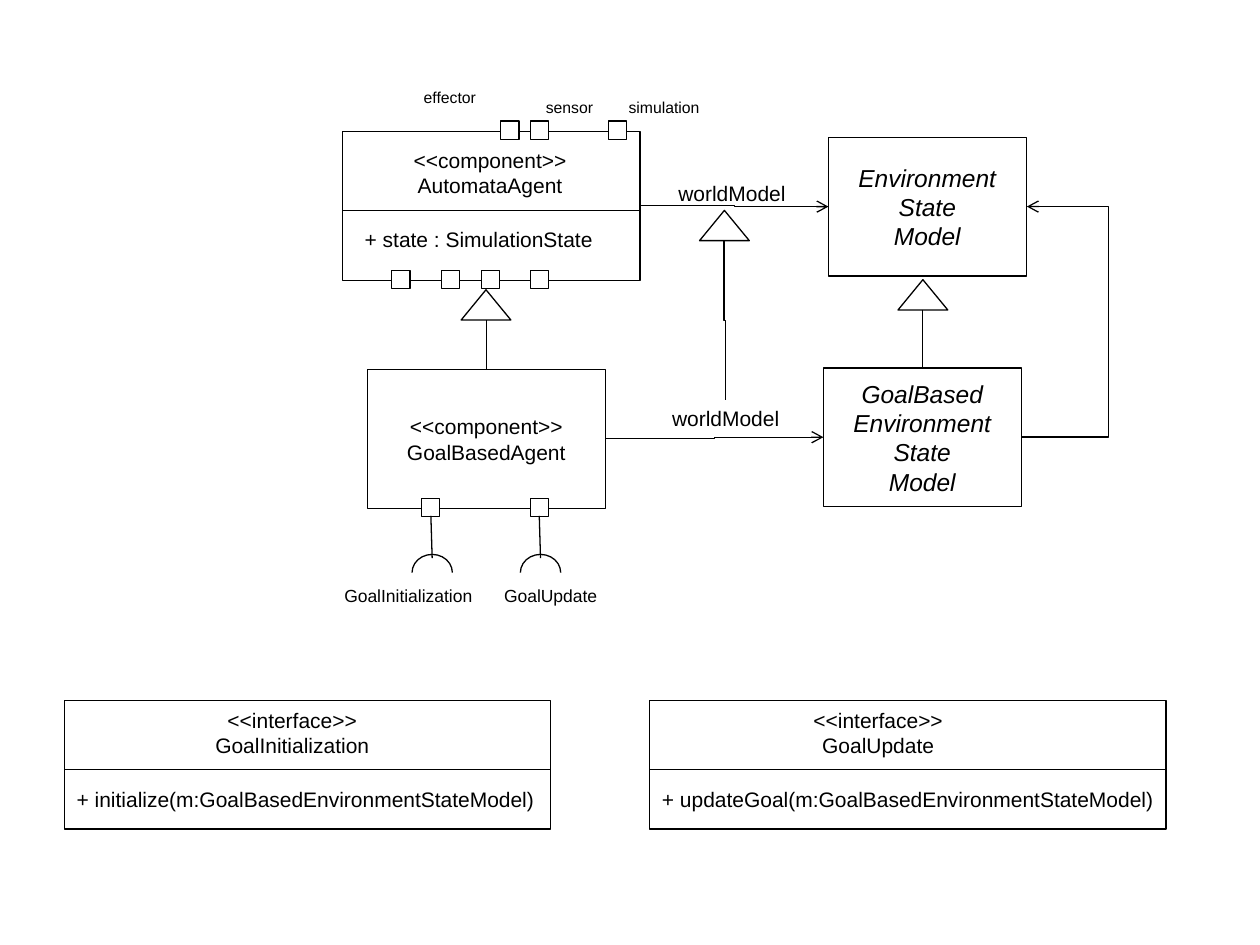
"""Build a UML component diagram of goal-based agents and their interfaces."""
from lxml.etree import SubElement
from pptx import Presentation
from pptx.dml.color import RGBColor
from pptx.enum.shapes import MSO_CONNECTOR as CONN, MSO_SHAPE as SHAPE
from pptx.enum.text import MSO_ANCHOR as ANCHOR, MSO_AUTO_SIZE as AUTO, PP_ALIGN as ALIGN
from pptx.oxml.ns import qn
from pptx.util import Inches, Pt

BLACK = RGBColor(0, 0, 0)
WHITE = RGBColor(255, 255, 255)

prs = Presentation()
prs.slide_width, prs.slide_height = Inches(10), Inches(7.5)
COL, ROW = prs.slide_width / 100, prs.slide_height / 75
s = prs.slides.add_slide(prs.slide_layouts[6])


def box(text, x, y, w, h, kind=None, size=12, italic=False, align=ALIGN.CENTER, filled=True):
    place = int(x * COL), int(y * ROW), int(w * COL), int(h * ROW)
    if kind is None:
        sp = s.shapes.add_textbox(*place)
    else:
        sp = s.shapes.add_shape(kind, *place)
        sp.shadow.inherit = False
        sp.line.color.rgb = BLACK
        sp.line.width = Pt(0.75)
        if filled:
            sp.fill.solid()
            sp.fill.fore_color.rgb = WHITE
        else:
            sp.fill.background()
    if text:
        tf = sp.text_frame
        tf.word_wrap = False
        tf.auto_size = AUTO.SHAPE_TO_FIT_TEXT if kind is None else AUTO.NONE
        tf.vertical_anchor = ANCHOR.TOP if kind is None else ANCHOR.MIDDLE
        tf.text = text
        for p in tf.paragraphs:
            p.alignment = align
            for r in p.runs:
                r.font.name, r.font.size, r.font.italic = "Arial", Pt(size), italic
                r.font.color.rgb = BLACK
    return sp


def connect(x1, y1, x2, y2, kind=CONN.STRAIGHT, arrow=False, bend=None, turn=0):
    c = s.shapes.add_connector(kind, int(x1 * COL), int(y1 * ROW), int(x2 * COL), int(y2 * ROW))
    c.line.color.rgb = BLACK
    c.line.width = Pt(0.75)
    spPr = c._element.spPr
    SubElement(spPr, qn("a:effectLst"))
    if arrow:
        SubElement(spPr.find(qn("a:ln")), qn("a:tailEnd"), type="arrow")
    if bend:
        guides = spPr.find(qn("a:prstGeom")).find(qn("a:avLst"))
        SubElement(guides, qn("a:gd"), name="adj1", fmla=f"val {int(bend * 100000)}")
    if turn:
        spPr.find(qn("a:xfrm")).set("rot", str(turn * 60000))


box("", 27.2, 10.45, 23.6, 11.8, SHAPE.RECTANGLE)
connect(27.2, 16.7, 50.8, 16.7)
box("<<component>>\nAutomataAgent", 31.4, 11.2, 15, 5)
box("+ state : SimulationState", 27.7, 17.5, 20.6, 3)
box("<<component>>\nGoalBasedAgent", 29.15, 29.35, 18.9, 11, SHAPE.RECTANGLE)
box("Environment\nState\nModel", 65.75, 10.9, 15.7, 11, SHAPE.RECTANGLE, size=14, italic=True)
box("GoalBased\nEnvironment\nState\nModel", 65.35, 29.22, 15.7, 11, SHAPE.RECTANGLE, size=14, italic=True)

for y, columns in ((9.62, (39.75, 42.1, 48.3)), (21.45, (31.1, 35.05, 38.2, 42.1)), (39.55, (33.45, 42.1))):
    for x in columns:
        box("", x, y, 1.45, 1.45, SHAPE.RECTANGLE)

for text, x, y, w in (("effector", 32.2, 6.5, 7), ("sensor", 41.7, 7.3, 7), ("simulation", 48.7, 7.3, 8)):
    box(text, x, y, w, 2.5, size=9)

for x, y in ((36.6, 23), (71.27, 22.2), (55.52, 16.7)):
    box("", x, y, 3.95, 2.4, SHAPE.ISOSCELES_TRIANGLE)
connect(38.6, 25.4, 38.6, 29.35)
connect(70.9, 26.9, 75.5, 26.9, CONN.ELBOW, turn=90)
connect(63.8, 25.4, 51.2, 25.5, CONN.ELBOW, turn=270)

connect(50.8, 16.3, 65.75, 16.4, CONN.ELBOW, arrow=True)
connect(48.05, 34.8, 65.35, 34.7, CONN.ELBOW, arrow=True)
connect(81.05, 34.7, 81.5, 16.4, CONN.ELBOW, arrow=True, bend=15.4)
for x, y in ((52.6, 13.8), (52.1, 31.7)):
    box("worldModel", x, y, 11, 3)

for text, port, x, w in (("GoalInitialization", 34.2, 25.9, 13), ("GoalUpdate", 42.8, 38.7, 10)):
    arc = box("", port - 1.5, 44, 3.2, 2.9, SHAPE.ARC, filled=False)
    arc.adjustments[0], arc.adjustments[1] = 108, 0
    connect(port + 0.1, 44.3, port, 40.95)
    box(text, x, 45.9, w, 2.7, size=10)

for x, w, name, name_x, name_w, method in (
    (5.1, 38.6, "GoalInitialization", 15.8, 14.8, "initialize"),
    (51.55, 41, "GoalUpdate", 63.2, 13, "updateGoal"),
):
    box("", x, 55.6, w, 10.2, SHAPE.RECTANGLE)
    connect(x, 61.1, x + w, 61.1)
    box(f"<<interface>>\n{name}", name_x, 55.65, name_w, 5)
    box(f"+ {method}(m:GoalBasedEnvironmentStateModel)", x, 61.9, w + 0.5, 3, align=ALIGN.LEFT)

prs.save("out.pptx")
